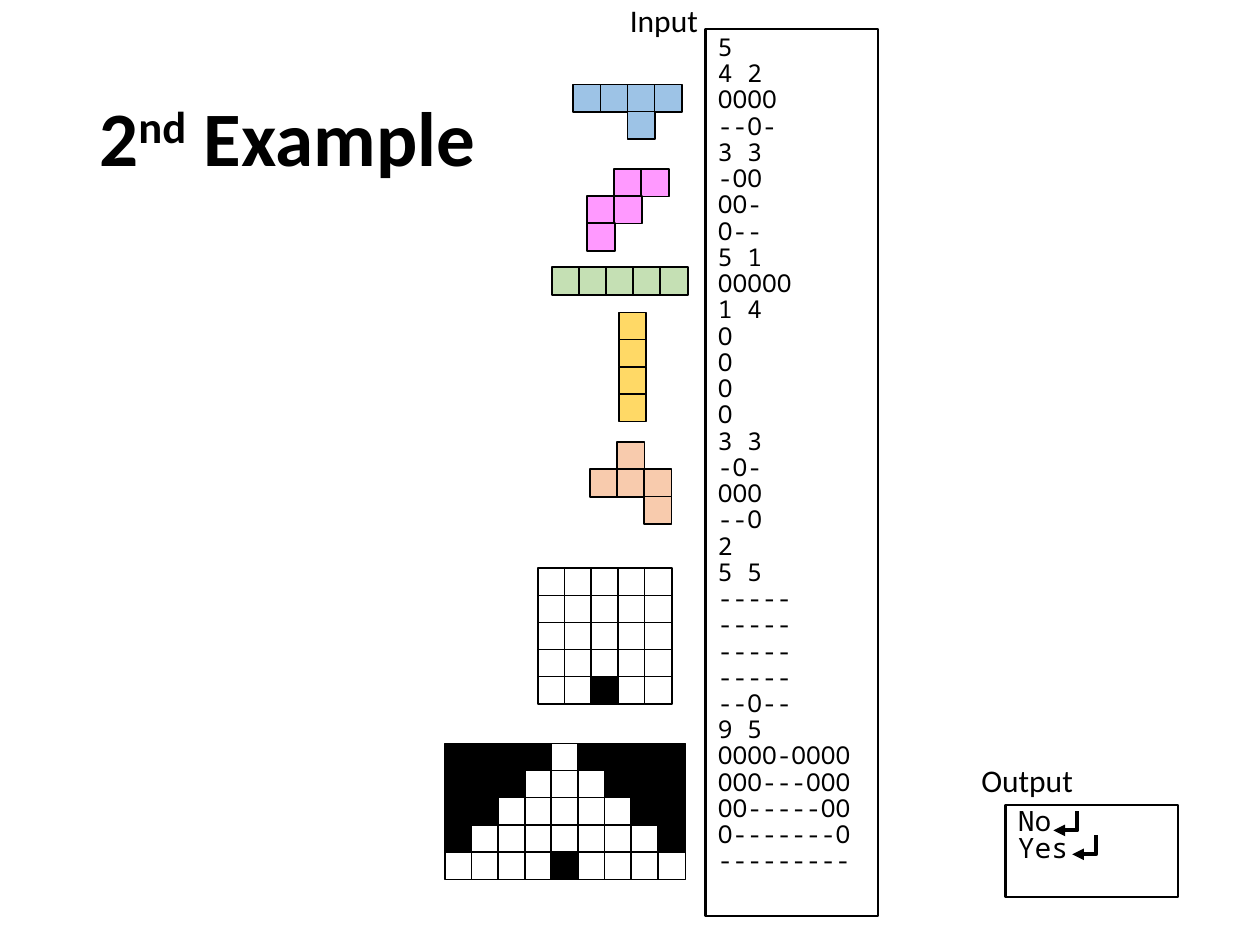
"""Build the second example slide: puzzle pieces, boards, and their input and output."""
from dataclasses import dataclass

from lxml.etree import SubElement
from pptx import Presentation
from pptx.dml.color import RGBColor
from pptx.enum.shapes import MSO_SHAPE as Preset
from pptx.enum.text import MSO_ANCHOR as Anchor, MSO_AUTO_SIZE as AutoSize, PP_ALIGN as Align
from pptx.oxml.ns import qn
from pptx.util import Inches, Pt

BLACK = "000000"
WHITE = "FFFFFF"
CELL_SIZE = 0.22
PIECE_PITCH = 0.86 / 4
BOARD_PITCH = 1.69 / 8
MONO = "Noto Sans Mono"
SANS = "Calibri"


@dataclass(frozen=True)
class Grid:
    left: float
    top: float
    rows: tuple[str, ...]
    fill: str = BLACK
    empty_fill: str | None = None
    pitch: float = PIECE_PITCH

    def input_lines(self) -> list[str]:
        return [f"{len(self.rows[0])} {len(self.rows)}", *self.rows]


@dataclass(frozen=True)
class Box:
    left: float
    top: float
    width: float
    height: float
    lines: list[str]
    size: int


PIECES = [
    Grid(4.55, 0.67, ("OOOO", "--O-"), "9DC3E6"),
    Grid(4.66, 1.34, ("-OO", "OO-", "O--"), "FF99FF"),
    Grid(4.38, 2.12, ("OOOOO",), "C5E0B4"),
    Grid(4.91, 2.48, ("O",) * 4, "FFD966"),
    Grid(4.68, 3.51, ("-O-", "OOO", "--O"), "F8CBAD"),
]
SMALL_BOARD = Grid(4.27, 4.51, ("-----",) * 4 + ("--O--",), BLACK, WHITE, BOARD_PITCH)
LARGE_ROWS = ("OOOO-OOOO", "OOO---OOO", "OO-----OO", "O-------O", "---------")
LARGE_BOARD = Grid(3.53, 5.9, LARGE_ROWS, BLACK, WHITE, BOARD_PITCH)
LARGE_BOARD_MARK = (4.37, 6.76)


def color(value: str) -> RGBColor:
    return RGBColor.from_string(value)


def set_font(paragraph, name: str, size: int, bold: bool = False) -> None:
    font = paragraph.font
    font.name, font.size, font.bold = name, Pt(size), bold
    font.color.rgb = color(BLACK)


def set_outline(shape, width: float) -> None:
    shape.shadow.inherit = False
    shape.line.color.rgb = color(BLACK)
    shape.line.width = Pt(width)


def draw_cell(group, left: float, top: float, fill: str) -> None:
    cell = group.shapes.add_shape(
        Preset.RECTANGLE, Inches(left), Inches(top), Inches(CELL_SIZE), Inches(CELL_SIZE))
    set_outline(cell, 1)
    cell.fill.solid()
    cell.fill.fore_color.rgb = color(fill)


def draw_grid(slide, grid: Grid):
    group = slide.shapes.add_group_shape()
    for row, marks in enumerate(grid.rows):
        for column, mark in enumerate(marks):
            fill = grid.fill if mark == "O" else grid.empty_fill
            if fill:
                draw_cell(group, grid.left + column * grid.pitch,
                          grid.top + row * PIECE_PITCH, fill)
    return group


def draw_box(slide, box: Box) -> None:
    shape = slide.shapes.add_shape(
        Preset.RECTANGLE, Inches(box.left), Inches(box.top), Inches(box.width), Inches(box.height))
    set_outline(shape, 1.5)
    shape.fill.background()
    frame = shape.text_frame
    frame.word_wrap = True
    frame.vertical_anchor = Anchor.TOP
    frame.auto_size = AutoSize.SHAPE_TO_FIT_TEXT
    frame.text = "\n".join(box.lines)
    for paragraph in frame.paragraphs:
        paragraph.alignment = Align.LEFT
        paragraph.line_spacing = Pt(15)
        set_font(paragraph, MONO, box.size)


def draw_label(slide, text: str, left: float, top: float, width: float) -> None:
    label = slide.shapes.add_textbox(Inches(left), Inches(top), Inches(width), Inches(0.4))
    frame = label.text_frame
    frame.word_wrap = False
    frame.auto_size = AutoSize.SHAPE_TO_FIT_TEXT
    frame.text = text
    set_font(frame.paragraphs[0], SANS, 18)


def draw_title(slide) -> None:
    title = slide.shapes.add_textbox(Inches(0.69), Inches(0.4), Inches(8.62), Inches(1.45))
    frame = title.text_frame
    frame.word_wrap = True
    frame.vertical_anchor = Anchor.MIDDLE
    paragraph = frame.paragraphs[0]
    paragraph.line_spacing = 0.9
    set_font(paragraph, SANS, 44, bold=True)
    for text, baseline in (("2", 0), ("nd", 30000), (" Example", 0)):
        run = paragraph.add_run()
        run.text = text
        if baseline:
            run.font._element.set("baseline", str(baseline))


def draw_return_arrow(slide, left: float, top: float) -> None:
    right, bottom = Inches(left + 0.19), Inches(top + 0.15)
    builder = slide.shapes.build_freeform(right, Inches(top))
    builder.add_line_segments([(right, bottom), (Inches(left), bottom)], close=False)
    arrow = builder.convert_to_shape()
    set_outline(arrow, 2.25)
    arrow.fill.background()
    SubElement(arrow.line._get_or_add_ln(), qn("a:tailEnd"), type="triangle")


def input_lines() -> list[str]:
    lines = []
    for grids in (PIECES, [SMALL_BOARD, LARGE_BOARD]):
        lines.append(str(len(grids)))
        for grid in grids:
            lines += grid.input_lines()
    return lines


def main() -> None:
    presentation = Presentation()
    presentation.slide_width, presentation.slide_height = Inches(10), Inches(7.5)
    slide = presentation.slides.add_slide(presentation.slide_layouts[6])
    draw_title(slide)
    draw_box(slide, Box(5.6, 0.23, 1.37, 7.04, input_lines(), 14))
    for piece in PIECES:
        draw_grid(slide, piece)
    draw_cell(draw_grid(slide, LARGE_BOARD), *LARGE_BOARD_MARK, BLACK)
    draw_grid(slide, SMALL_BOARD)
    draw_box(slide, Box(7.98, 6.39, 1.37, 0.73, ["No", "Yes"], 16))
    draw_return_arrow(slide, 8.36, 6.44)
    draw_return_arrow(slide, 8.51, 6.63)
    draw_label(slide, "Input", 4.9, -0.04, 0.75)
    draw_label(slide, "Output", 7.69, 5.99, 0.94)
    presentation.save("out.pptx")


if __name__ == "__main__":
    main()
